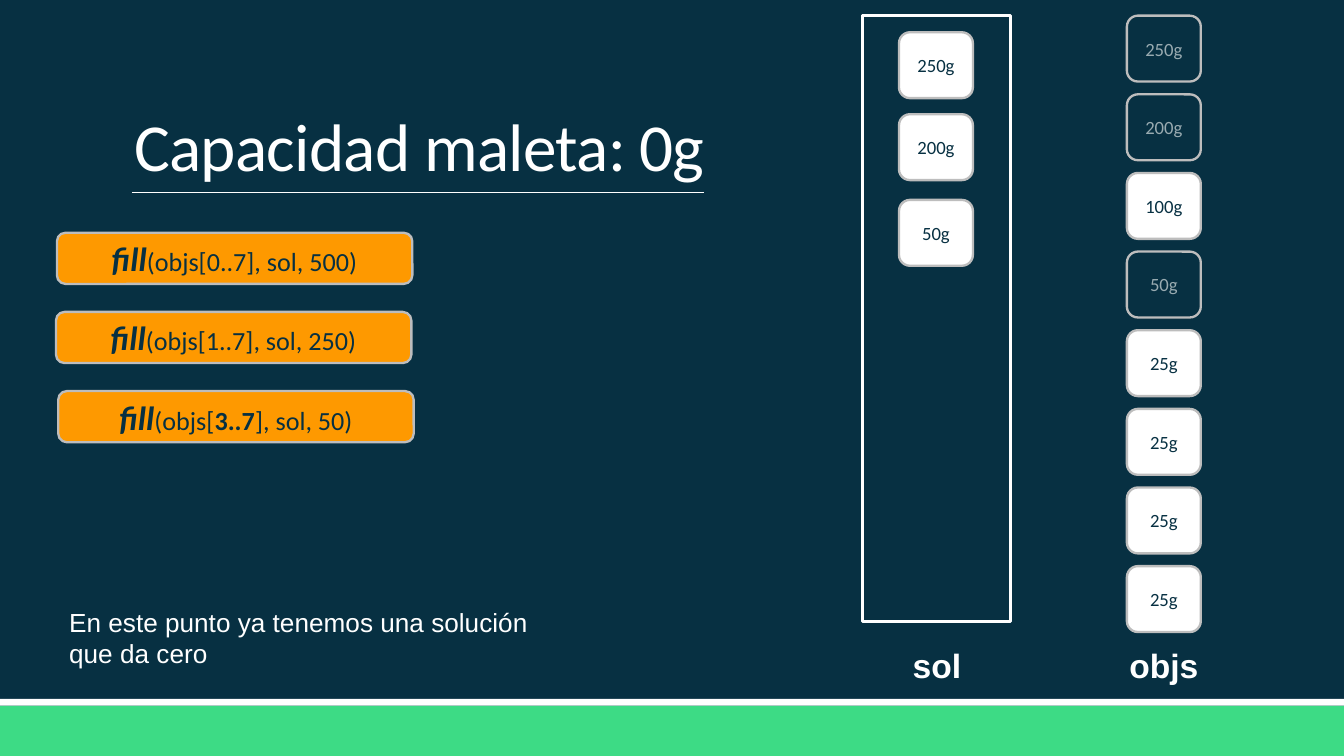
"""Build the suitcase-filling step slide with its call stack, solution and objects."""
from dataclasses import dataclass
from typing import NamedTuple

from lxml.etree import SubElement
from pptx import Presentation
from pptx.dml.color import RGBColor
from pptx.enum.shapes import MSO_CONNECTOR, MSO_SHAPE
from pptx.enum.text import MSO_ANCHOR, PP_ALIGN
from pptx.oxml.ns import qn
from pptx.util import Pt

NAVY, WHITE, GREEN, ORANGE = "073042", "FFFFFF", "3DDB85", "FE9900"
GREY, MUTED = "BDBDBD", "99ABB1"
TILE_W, TILE_H = 39.6, 35.3


class Box(NamedTuple):
    x: float
    y: float
    w: float
    h: float


class Run(NamedTuple):
    text: str
    fmt: dict


@dataclass
class Tile:
    label: str
    x: float
    y: float
    used: bool = False


@dataclass
class Call:
    x: float
    runs: list[Run]


def rgb(value: str) -> RGBColor:
    return RGBColor.from_string(value)


def font(name: str, size: float, color: str = WHITE, **extra) -> dict:
    return {"name": name, "size": Pt(size), "color": color, **extra}


def set_text(sp, runs: list[Run], align=PP_ALIGN.LEFT, anchor=MSO_ANCHOR.TOP):
    tf = sp.text_frame
    for key, value in {"word_wrap": True, "vertical_anchor": anchor}.items():
        setattr(tf, key, value)
    p = tf.paragraphs[0]
    p.alignment = align
    for text, fmt in runs:
        r = p.add_run()
        r.text = text
        for key, value in fmt.items():
            if key == "color":
                r.font.color.rgb = rgb(value)
            else:
                setattr(r.font, key, value)
    return p


def add_box(s, kind, box: Box, fill: str, line: str = ""):
    sp = s.shapes.add_shape(kind, *map(Pt, box))
    sp.shadow.inherit = False
    sp.fill.solid()
    sp.fill.fore_color.rgb = rgb(fill)
    if line:
        sp.line.color.rgb = rgb(line)
        sp.line.width = Pt(1.25)
    else:
        sp.line.fill.background()
    return sp


def add_text(s, box: Box, text: str, fmt: dict, **layout):
    sp = s.shapes.add_textbox(*map(Pt, box))
    return set_text(sp, [Run(text, fmt)], **layout)


def add_rounded(s, box: Box, fill: str, runs: list[Run]) -> None:
    sp = add_box(s, MSO_SHAPE.ROUNDED_RECTANGLE, box, fill, GREY)
    set_text(sp, runs, PP_ALIGN.CENTER, MSO_ANCHOR.MIDDLE)


def add_tile(s, tile: Tile) -> None:
    fill, color = (NAVY, MUTED) if tile.used else (WHITE, NAVY)
    box = Box(tile.x, tile.y, TILE_W, TILE_H)
    add_rounded(s, box, fill, [Run(tile.label, font("Calibri", 10, color))])


def add_rule(s, x1: float, x2: float, y: float) -> None:
    ln = s.shapes.add_connector(MSO_CONNECTOR.STRAIGHT, Pt(x1), Pt(y), Pt(x2), Pt(y))
    ln.line.color.rgb = rgb(WHITE)
    ln.line.width = Pt(0.5)
    SubElement(ln._element.spPr, qn("a:effectLst"))


def add_title(s) -> None:
    p = add_text(s, Box(64.8, 17.3, 594, 85.7), "Capacidad maleta: 0g",
                 font("Calibri", 36), anchor=MSO_ANCHOR.BOTTOM)
    p.line_spacing = 0.85
    p.runs[0]._r.get_or_add_rPr().set("spc", "-40")
    add_rule(s, 70.6, 377.3, 103)


def main() -> None:
    prs = Presentation()
    prs.slide_width, prs.slide_height = Pt(720), Pt(405)
    s = prs.slides.add_slide(prs.slide_layouts[6])
    s.background.fill.solid()
    s.background.fill.fore_color.rgb = rgb(NAVY)

    add_box(s, MSO_SHAPE.RECTANGLE, Box(0, 378, 720, 27), GREEN)
    add_box(s, MSO_SHAPE.RECTANGLE, Box(0, 374.4, 720, 3.6), WHITE)
    add_title(s)

    add_box(s, MSO_SHAPE.RECTANGLE, Box(462, 8.4, 79.4, 324.6), NAVY, WHITE)
    weights = ["250g", "200g", "100g", "50g"] + ["25g"] * 4
    taken = {0: 17.3, 1: 61.2, 3: 107.1}
    for i, label in enumerate(weights):
        add_tile(s, Tile(label, 603.7, 8.4 + 42.13 * i, i in taken))
    for i, y in taken.items():
        add_tile(s, Tile(weights[i], 481.6, y))
    for label, x in (("sol", 459.4), ("objs", 581)):
        add_text(s, Box(x, 342, 85, 28.8), label,
                 font("Arial", 18, bold=True), align=PP_ALIGN.CENTER)

    name = Run("fill", font("Calibri", 18, NAVY, bold=True, italic=True))
    plain = font("Calibri", 14, NAVY)
    calls = [
        Call(30.5, [name, Run("(objs[0..7], sol, 500)", plain)]),
        Call(30, [name, Run("(objs[1..7], sol, 250)", plain)]),
        Call(31.2, [name, Run("(objs[", plain), Run("3..7", {**plain, "bold": True}),
                    Run("], sol, 50)", plain)]),
    ]
    for i, call in enumerate(calls):
        add_rounded(s, Box(call.x, 124.7 + 42.4 * i, 190.4, 27.4), ORANGE, call.runs)

    add_text(s, Box(30, 321.1, 283.7, 41),
             "En este punto ya tenemos una solución que da cero", font("Arial", 14))
    prs.save("out.pptx")


main()
